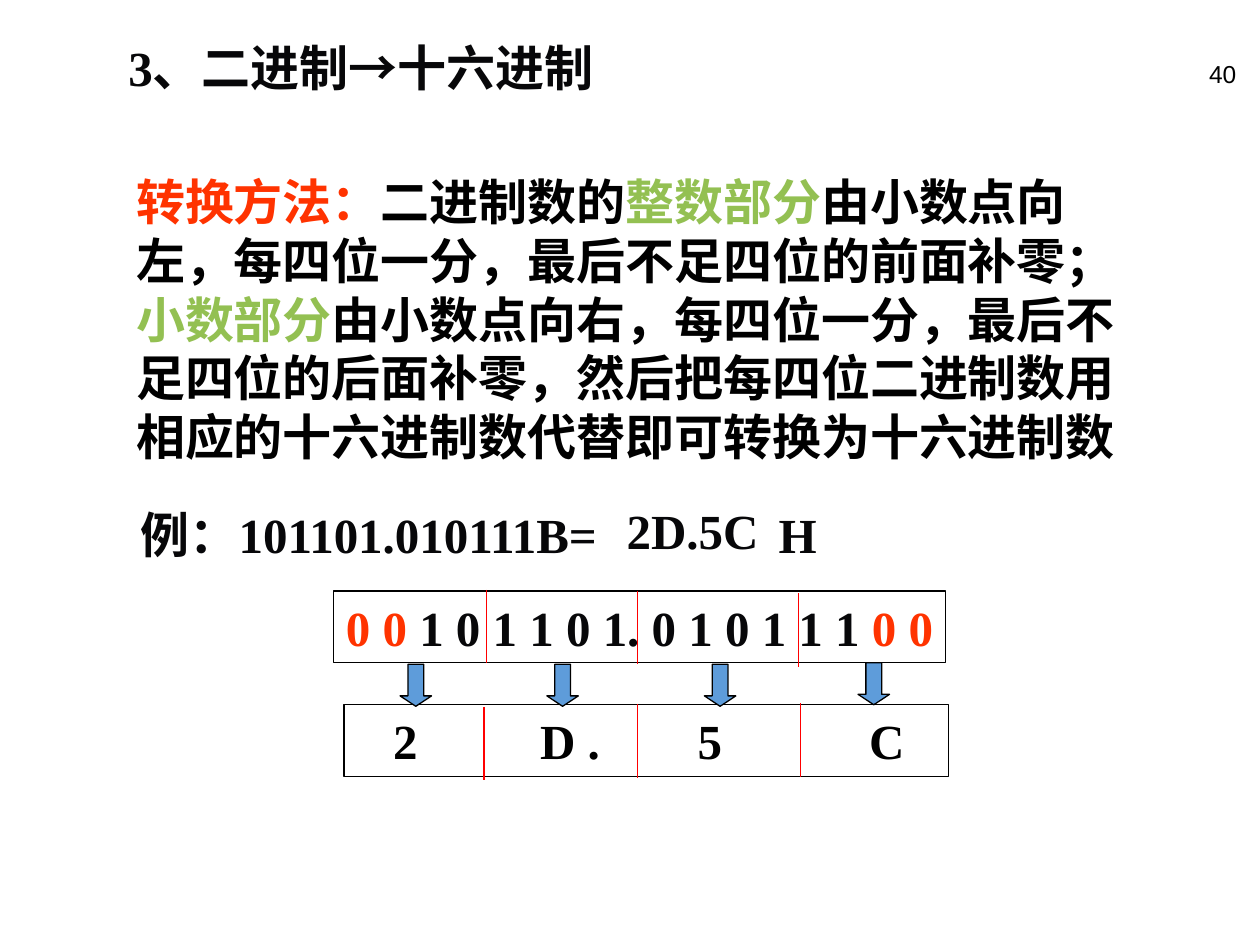
"""Build the slide on converting binary numbers to hexadecimal."""
from lxml import etree
from pptx import Presentation
from pptx import util as u
from pptx.dml.color import RGBColor
from pptx.enum import shapes, text
from pptx.oxml.ns import qn

Pt = u.Pt
COLORS = {"ink": "070709", "black": "000000", "red": "FF3300",
          "green": "93C052", "divider": "FF0000", "arrow": "5E9CDA"}


def color(name):
    return RGBColor.from_string(COLORS[name])


def write(sp, runs, size=28, font="Times New Roman", bold=True, spacing=1.0,
          align=text.PP_ALIGN.LEFT, wrap=True, tabs=()):
    tf = sp.text_frame
    tf.auto_size = text.MSO_AUTO_SIZE.NONE
    tf.word_wrap = wrap
    tf.vertical_anchor = text.MSO_ANCHOR.TOP
    p = tf.paragraphs[0]
    p.alignment, p.line_spacing, p.space_before = align, spacing, Pt(0)
    ppr = p._p.get_or_add_pPr()
    ppr.set("hangingPunct", "0")
    if sp.is_placeholder:
        ppr.set("marL", "0")
        ppr.set("indent", "0")
        etree.SubElement(ppr, qn("a:buNone"))
    if tabs:
        stops = etree.SubElement(ppr, qn("a:tabLst"))
        for pos in tabs:
            etree.SubElement(stops, qn("a:tab"), pos=str(Pt(pos)), algn="l")
    for words, tint in runs:
        r = p.add_run()
        r.text = words
        r.font.size, r.font.name, r.font.bold = Pt(size), font, bold
        r.font.color.rgb = color(tint)
    return p


prs = Presentation()
prs.slide_width, prs.slide_height = Pt(720), Pt(540)
s = prs.slides.add_slide(prs.slide_layouts[1])

title, body = s.placeholders
title.left, title.top, title.width, title.height = Pt(66.2), Pt(14.4), Pt(653.8), Pt(44.6)
write(title, [("3、二进制→十六进制", "ink")], spacing=1.1)

body.left, body.top, body.width, body.height = Pt(70.6), Pt(94.3), Pt(583.9), Pt(175.7)
write(body, [
    ("转换方法：", "red"),
    ("二进制数的", "black"),
    ("整数部分", "green"),
    ("由小数点向左，每四位一分，最后不足四位的前面补零；", "black"),
    ("小数部分", "green"),
    ("由小数点向右，每四位一分，最后不足四位的后面补零，"
     "然后把每四位二进制数用相应的十六进制数代替即可转换为十六进制数", "black"),
])

number = s.shapes.add_textbox(Pt(563.8), Pt(30.2), Pt(149.8), Pt(36))
write(number, [("40", "black")], size=14, font="Arial", bold=False,
      align=text.PP_ALIGN.RIGHT)

example = s.shapes.add_textbox(Pt(73.4), Pt(281.5), Pt(576), Pt(44.6))
p = write(example, [("例：101101.010111B=", "ink"), ("\t", "ink"), ("H", "ink")],
          spacing=1.1, tabs=[364.5])
p.runs[1].font.underline = True

answer = s.shapes.add_textbox(Pt(351), Pt(282.6), Pt(89.3), Pt(41))
write(answer, [("2D.5C", "ink")], wrap=False)

rows = [
    (190.6, 337.7, 349.9, False, (),
     [("0 0", "red"), (" 1 0 1 1 0 1. 0 1 0 1 1 1 ", "ink"), ("0 0", "red")],
     [(278.1, 337), (364.5, 337.7), (456.3, 339.1)]),
    (196.6, 402.7, 345.6, True, (21, 105, 195, 293),
     [("\t2\tD .\t5\tC", "black")],
     [(276.5, 403.9), (364.5, 402.5), (457.4, 401.8)]),
]
for left, top, width, wrap, tabs, runs, dividers in rows:
    box = s.shapes.add_shape(shapes.MSO_SHAPE.RECTANGLE, Pt(left), Pt(top), Pt(width), Pt(41))
    box.shadow.inherit = False
    box.fill.background()
    box.line.color.rgb, box.line.width = color("black"), Pt(0.75)
    write(box, runs, wrap=wrap, tabs=tabs)
    for x, y in dividers:
        line = s.shapes.add_connector(shapes.MSO_CONNECTOR.STRAIGHT,
                                      Pt(x), Pt(y), Pt(x), Pt(y + 42))
        line.line.color.rgb, line.line.width = color("divider"), Pt(0.75)
        etree.SubElement(line._element.spPr, qn("a:effectLst"))

for x, y in [(228.6, 379.6), (312.5, 379.6), (402.5, 379.6), (490.3, 378.7)]:
    arrow = s.shapes.add_shape(shapes.MSO_SHAPE.DOWN_ARROW, Pt(x), Pt(y), Pt(18), Pt(24))
    arrow.shadow.inherit = False
    arrow.adjustments[0], arrow.adjustments[1] = 0.5, 0.33
    arrow.fill.solid()
    arrow.fill.fore_color.rgb = color("arrow")
    arrow.line.color.rgb, arrow.line.width = color("black"), Pt(0.75)

prs.save("out.pptx")
